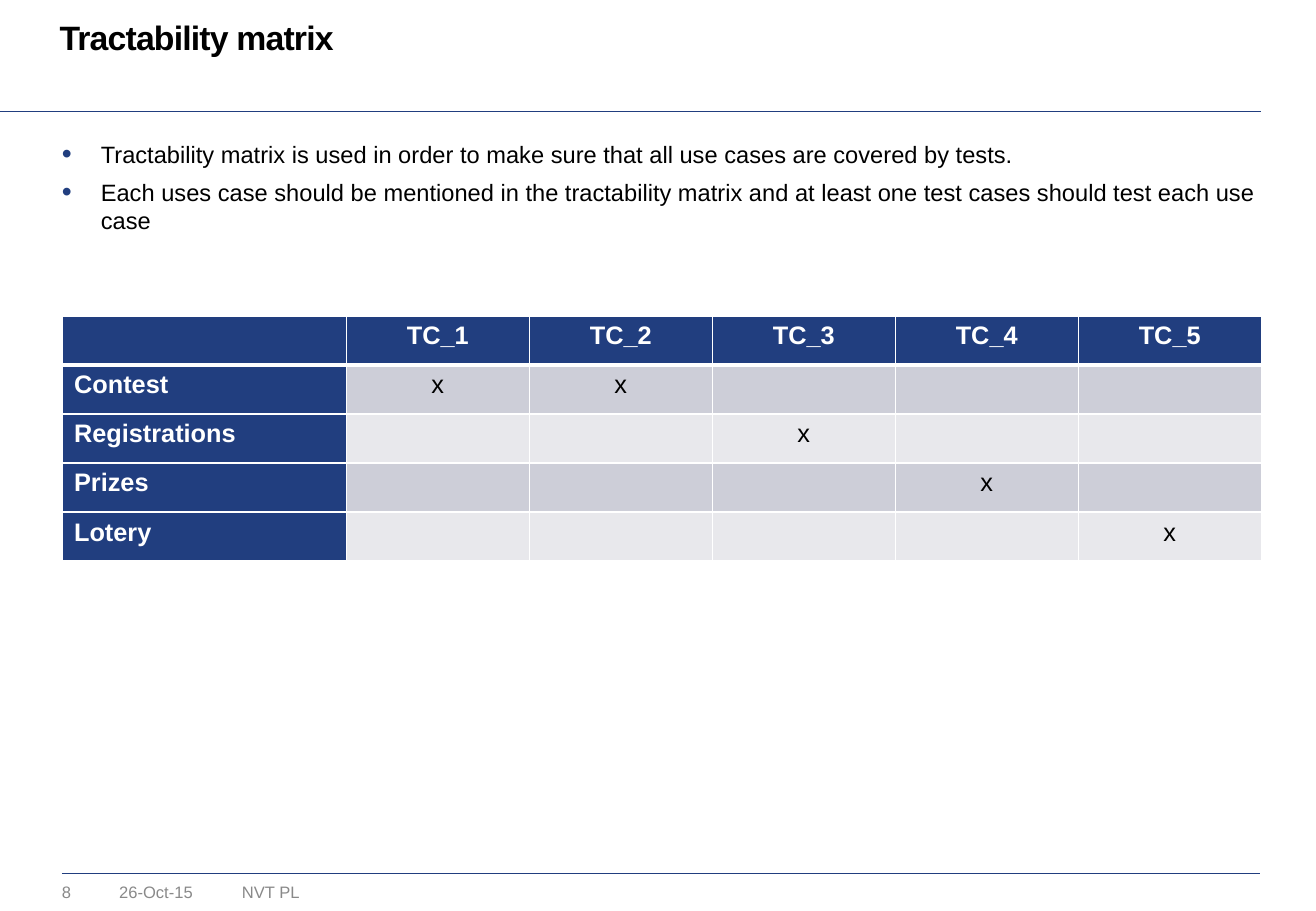
from lxml.etree import SubElement
from pptx import Presentation
from pptx.dml.color import RGBColor
from pptx.enum.shapes import MSO_CONNECTOR
from pptx.enum.text import PP_ALIGN
from pptx.oxml.ns import qn
from pptx.util import Inches, Pt

NAVY, WHITE, BLACK, GRAY = "213E7F", "FFFFFF", "000000", "898989"
BANDS = ["CDCED8", "E8E8EC"]
TEST_CASES = [f"TC_{number}" for number in range(1, 6)]
COVERAGE = {
    "Contest": ["TC_1", "TC_2"],
    "Registrations": ["TC_3"],
    "Prizes": ["TC_4"],
    "Lotery": ["TC_5"],
}
BULLETS = [
    "Tractability matrix is used in order to make sure that all use cases are covered by tests.",
    "Each uses case should be mentioned in the tractability matrix and at least one test cases "
    "should test each use case",
]
FOOTER = [("8", 0.51, 0.39), ("26-Oct-15", 0.98, 0.89), ("NVT PL", 1.99, 1.41)]


def rgb(value):
    return RGBColor.from_string(value)


class SlideBuilder:
    font_name = "Arial"

    def __init__(self, slide):
        self.slide = slide

    def add_text(self, paragraph, text, size, color, bold=False, **formats):
        run = paragraph.add_run()
        run.text = text
        for name, value in {"name": self.font_name, "size": Pt(size), "bold": bold}.items():
            setattr(run.font, name, value)
        run.font.color.rgb = rgb(color)
        for name, value in formats.items():
            setattr(paragraph, name, value)
        return run

    def text_box(self, left, top, width, height):
        shape = self.slide.shapes.add_textbox(Inches(left), Inches(top), Inches(width), Inches(height))
        frame = shape.text_frame
        formats = {"word_wrap": True, "margin_left": 0, "margin_top": 0,
                   "margin_right": 0, "margin_bottom": 0}
        for name, value in formats.items():
            setattr(frame, name, value)
        return frame

    def title(self, text):
        paragraph = self.text_box(0.49, 0.17, 9.93, 0.31).paragraphs[0]
        run = self.add_text(paragraph, text, 20, BLACK, True, line_spacing=Pt(21.7))
        run.font._element.set("spc", "-50")

    def bullets(self, texts):
        frame = self.text_box(0.51, 1.15, 9.87, 5.88)
        for index, text in enumerate(texts):
            paragraph = frame.add_paragraph() if index else frame.paragraphs[0]
            self.add_text(paragraph, text, 14, BLACK, space_before=Pt(2.8), space_after=Pt(2.8))
            properties = paragraph._p.get_or_add_pPr()
            properties.set("marL", str(Inches(0.32)))
            properties.set("indent", str(-Inches(0.32)))
            bullet_color = SubElement(properties, qn("a:buClr"))
            SubElement(bullet_color, qn("a:srgbClr"), val=NAVY)
            SubElement(properties, qn("a:buSzPct"), val="120000")
            SubElement(properties, qn("a:buFont"), typeface=self.font_name)
            SubElement(properties, qn("a:buChar"), char="•")

    def rule(self, left, right, top):
        line = self.slide.shapes.add_connector(
            MSO_CONNECTOR.STRAIGHT, Inches(left), Inches(top), Inches(right), Inches(top))
        line.line.color.rgb = rgb(NAVY)
        line.line.width = Pt(0.25)
        SubElement(line._element.spPr, qn("a:effectLst"))

    def cell(self, cell, text, fill, color, bold, alignment, borders):
        properties = cell._tc.get_or_add_tcPr()
        for side, width in borders.items():
            border = SubElement(properties, qn(f"a:ln{side}"), w=str(Pt(width)))
            border_fill = SubElement(border, qn("a:solidFill"))
            SubElement(border_fill, qn("a:srgbClr"), val=WHITE)
        cell.fill.solid()
        cell.fill.fore_color.rgb = rgb(fill)
        if text:
            self.add_text(cell.text_frame.paragraphs[0], text, 15, color, bold, alignment=alignment)

    def matrix(self, test_cases, coverage):
        rows = [["", *test_cases]]
        for use_case, covered in coverage.items():
            rows.append([use_case, *("x" if test in covered else "" for test in test_cases)])
        table = self.slide.shapes.add_table(
            len(rows), len(rows[0]), Inches(0.51), Inches(2.6), Inches(9.87), Inches(2.02)).table
        table.columns[0].width = Inches(2.34)
        for column in list(table.columns)[1:]:
            column.width = Inches((9.87 - 2.34) / len(test_cases))
        for row, texts in enumerate(rows):
            borders = {"L": 1, "R": 1, "T": 3 if row == 1 else 1, "B": 3 if row == 0 else 1}
            for column, text in enumerate(texts):
                header = row == 0 or column == 0
                self.cell(
                    table.cell(row, column), text,
                    NAVY if header else BANDS[(row - 1) % 2],
                    WHITE if header else BLACK, header,
                    PP_ALIGN.CENTER if column else PP_ALIGN.LEFT, borders)

    def footer(self, entries):
        for text, left, width in entries:
            frame = self.text_box(left, 7.26, width, 0.16)
            self.add_text(frame.paragraphs[0], text, 9.8, GRAY)


def main():
    presentation = Presentation()
    presentation.slide_width = Inches(10.83)
    presentation.slide_height = Inches(7.5)
    builder = SlideBuilder(presentation.slides.add_slide(presentation.slide_layouts[6]))
    builder.rule(0.51, 10.37, 7.19)
    builder.rule(-0.01, 10.38, 0.92)
    builder.footer(FOOTER)
    builder.bullets(BULLETS)
    builder.title("Tractability matrix")
    builder.matrix(TEST_CASES, COVERAGE)
    presentation.save("out.pptx")


if __name__ == "__main__":
    main()
